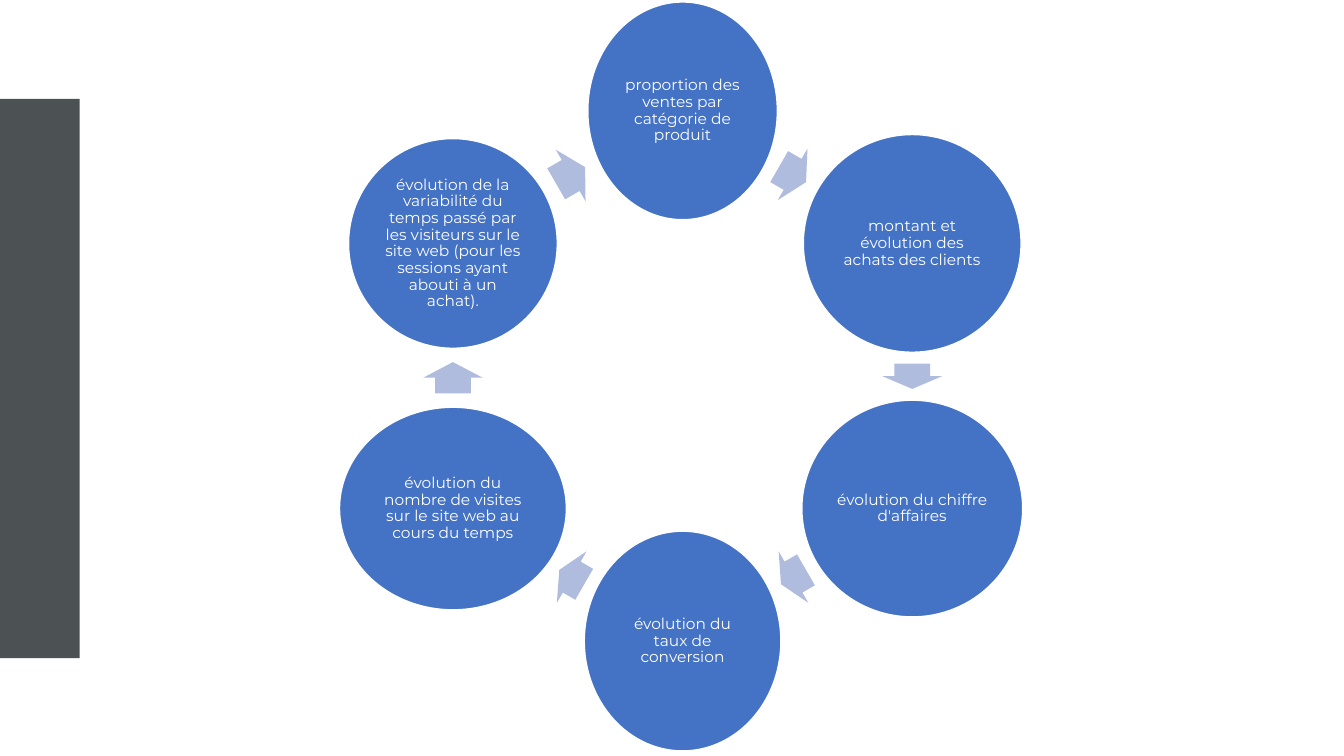
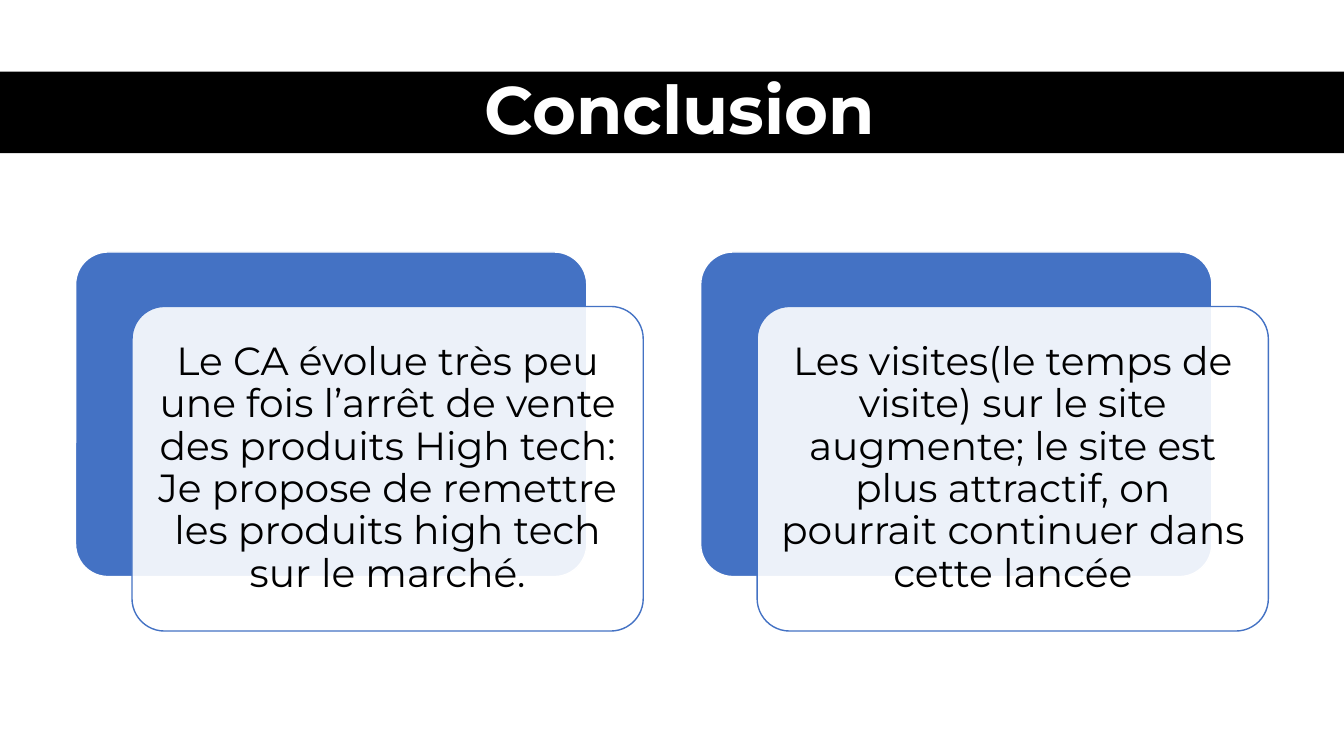
"""Builds the indicator cycle slide and the conclusion slide."""
from math import atan2, cos, degrees, hypot, radians, sin

from lxml import etree
from pptx import Presentation
from pptx.dml.color import RGBColor
from pptx.enum.shapes import MSO_SHAPE
from pptx.enum.text import MSO_ANCHOR, PP_ALIGN
from pptx.oxml.ns import qn
from pptx.util import Inches, Pt

RECT, OVAL = MSO_SHAPE.RECTANGLE, MSO_SHAPE.OVAL
ROUNDED, ARROW = MSO_SHAPE.ROUNDED_RECTANGLE, MSO_SHAPE.RIGHT_ARROW
MIDDLE, CENTER = MSO_ANCHOR.MIDDLE, PP_ALIGN.CENTER

WHITE = RGBColor(0xFF, 0xFF, 0xFF)
BLACK = RGBColor(0, 0, 0)
BLUE = RGBColor(0x44, 0x72, 0xC4)
PALE_BLUE = RGBColor(0xB0, 0xBC, 0xDE)
GREY = RGBColor(0x4C, 0x52, 0x54)
FONT = "Montserrat"
SLIDE_W, SLIDE_H = 13.33, 7.5

INDICATORS = [
    ("proportion des ventes par catégorie de produit", 1.88, 2.16),
    ("montant et évolution des achats des clients", 2.16, 2.16),
    ("évolution du chiffre d'affaires", 2.19, 2.15),
    ("évolution du taux de conversion", 1.95, 2.18),
    ("évolution du nombre de visites sur le site web au cours du temps", 2.25, 2.01),
    ("évolution de la variabilité du temps passé par les visiteurs sur le site web "
     "(pour les sessions ayant abouti à un achat).", 2.07, 2.08),
]
CYCLE_X, CYCLE_Y, CYCLE_RADIUS = 6.77, 3.73, 2.63
ARROW_SPAN, ARROW_SHARE = 0.59, 0.53

TITLE = "Conclusion"
CONCLUSIONS = [
    "Le CA évolue très peu une fois l’arrêt de vente des produits High tech: "
    "Je propose de remettre les produits high tech sur le marché.",
    "Les visites(le temps de visite) sur le site augmente; le site est plus attractif, "
    "on pourrait continuer dans cette lancée",
]
CARD_X, CARD_Y, CARD_W, CARD_H, CARD_STEP = 0.75, 2.5, 5.07, 3.22, 6.2
FRONT_DX, FRONT_DY = 0.56, 0.54


def add_block(slide, preset, box, fill, line=None):
    block = slide.shapes.add_shape(preset, *map(Inches, box))
    block.shadow.inherit = False
    block.fill.solid()
    block.fill.fore_color.rgb = fill
    if line is None:
        block.line.fill.background()
    else:
        block.line.color.rgb = line
        block.line.width = Pt(1)
    return block


def write(block, text, size, color, inset, bold=False):
    frame = block.text_frame
    frame.word_wrap = True
    frame.vertical_anchor = MIDDLE
    frame.margin_left = frame.margin_right = Inches(inset)
    frame.margin_top = frame.margin_bottom = Inches(inset)
    paragraph = frame.paragraphs[0]
    paragraph.text = text
    paragraph.alignment = CENTER
    paragraph.line_spacing = 0.9
    font = paragraph.font
    font.name, font.size, font.bold = FONT, Pt(size), bold
    font.color.rgb = color


def set_opacity(block, percent):
    color = block.fill._xPr.find(qn("a:solidFill"))[0]
    etree.SubElement(color, qn("a:alpha")).set("val", str(percent * 1000))


def oval_reach(width, height, angle):
    return 1 / hypot(2 * cos(angle) / width, 2 * sin(angle) / height)


def add_cycle_arrow(slide, start, end):
    x1, y1, w1, h1 = start
    x2, y2, w2, h2 = end
    angle = atan2(y2 - y1, x2 - x1)
    reach1, reach2 = oval_reach(w1, h1, angle), oval_reach(w2, h2, angle)
    shift = (reach1 - reach2) / 2
    x = (x1 + x2) / 2 + shift * cos(angle)
    y = (y1 + y2) / 2 + shift * sin(angle)
    length = ARROW_SHARE * (CYCLE_RADIUS - reach1 - reach2)
    box = (x - length / 2, y - ARROW_SPAN / 2, length, ARROW_SPAN)
    arrow = add_block(slide, ARROW, box, PALE_BLUE)
    arrow.adjustments[0], arrow.adjustments[1] = 0.6, 0.5
    arrow.rotation = degrees(angle) % 360


def build_cycle(slide):
    add_block(slide, RECT, (0, 0.98, 0.79, 5.55), GREY)
    ovals = []
    for i, (text, width, height) in enumerate(INDICATORS):
        angle = radians(360 / len(INDICATORS) * i - 90)
        x = CYCLE_X + CYCLE_RADIUS * cos(angle)
        y = CYCLE_Y + CYCLE_RADIUS * sin(angle)
        ovals.append((x, y, width, height))
        box = (x - width / 2, y - height / 2, width, height)
        write(add_block(slide, OVAL, box, BLUE, WHITE), text, 11, WHITE, 0.02)
    for start, end in zip(ovals, ovals[1:] + ovals[:1]):
        add_cycle_arrow(slide, start, end)


def build_conclusion(slide):
    band = add_block(slide, RECT, (0, 0.71, SLIDE_W, 0.81), BLACK)
    write(band, TITLE, 48, WHITE, 0.05, bold=True)
    band.text_frame.margin_left = Inches(0.2)
    for i, text in enumerate(CONCLUSIONS):
        x = CARD_X + i * CARD_STEP
        back = add_block(slide, ROUNDED, (x, CARD_Y, CARD_W, CARD_H), BLUE, WHITE)
        front_box = (x + FRONT_DX, CARD_Y + FRONT_DY, CARD_W, CARD_H)
        front = add_block(slide, ROUNDED, front_box, WHITE, BLUE)
        back.adjustments[0] = front.adjustments[0] = 0.1
        set_opacity(front, 90)
        write(front, text, 28, BLACK, 0.12)


def main():
    deck = Presentation()
    deck.slide_width, deck.slide_height = Inches(SLIDE_W), Inches(SLIDE_H)
    for build in (build_cycle, build_conclusion):
        build(deck.slides.add_slide(deck.slide_layouts[6]))
    deck.save("out.pptx")


if __name__ == "__main__":
    main()
